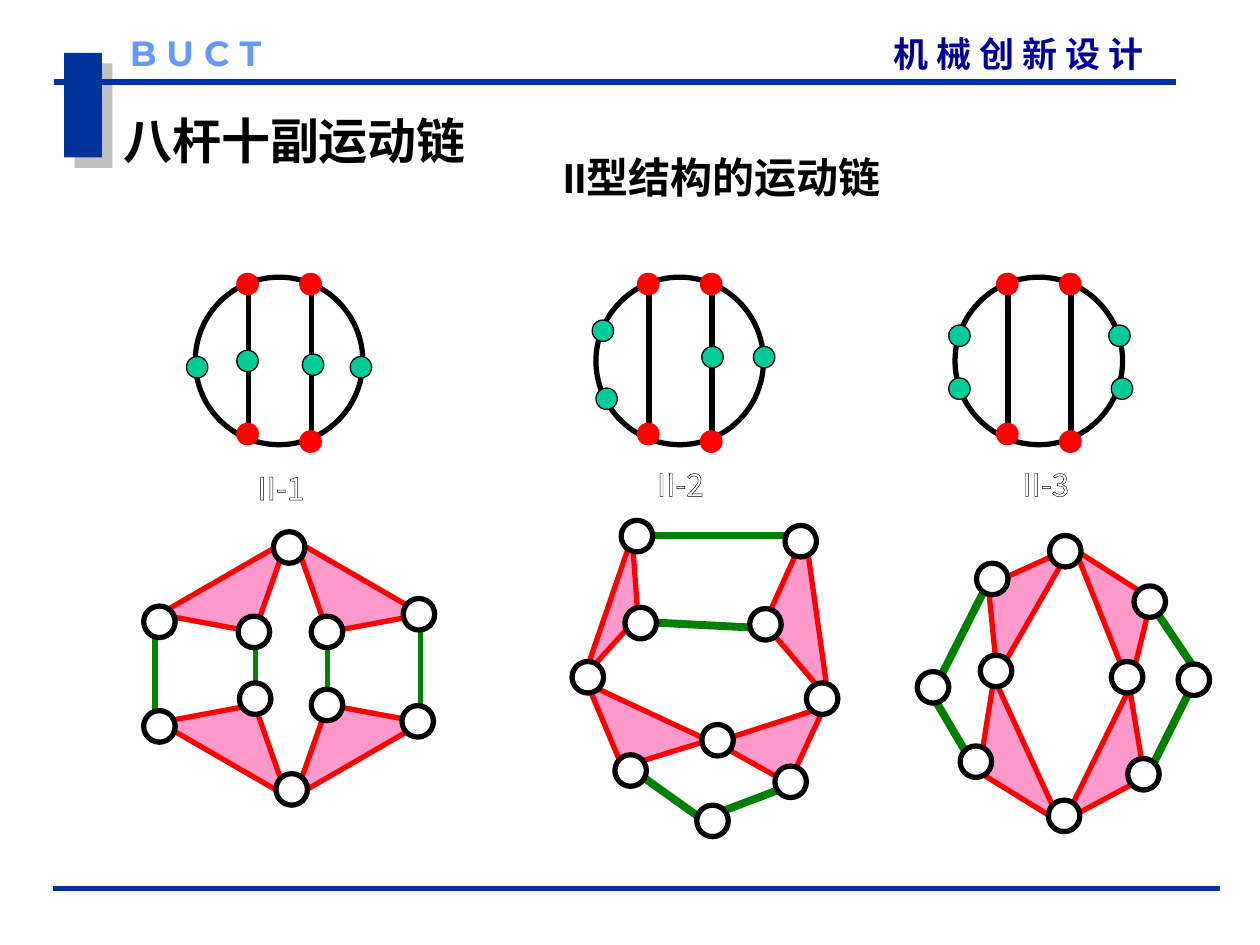
"""Build a slide of eight-bar, ten-joint kinematic chains of type II."""
from lxml.etree import SubElement
from pptx import Presentation
from pptx.dml.color import RGBColor
from pptx.enum.shapes import MSO_CONNECTOR, MSO_SHAPE
from pptx.enum.text import PP_ALIGN
from pptx.oxml import parse_xml
from pptx.oxml.ns import nsdecls, qn
from pptx.util import Inches, Pt

CJK = "Noto Sans CJK SC"
NAVY, RED, PINK, GREEN, TEAL = "003399", "FF0000", "FF99CC", "008000", "00CC99"
BLACK, WHITE = "000000", "FFFFFF"
hue = RGBColor.from_string


def paint(item, line=None, wide=3, fill=None):
    if fill:
        item.fill.solid()
        item.fill.fore_color.rgb = hue(fill)
    if line:
        item.line.color.rgb = hue(line)
        item.line.width = Pt(wide)
    else:
        item.line.fill.background()
    return SubElement(item._element.spPr, qn("a:effectLst"))


def write(home, text, box, size, color=BLACK, font=CJK, bold=True, pad=(0.1, 0.05), align=PP_ALIGN.LEFT, edge=None):
    frame = home.add_textbox(*map(Inches, box)).text_frame
    frame.word_wrap = True
    frame.margin_left = frame.margin_right = Inches(pad[0])
    frame.margin_top = frame.margin_bottom = Inches(pad[1])
    frame.paragraphs[0].alignment = align
    run = frame.paragraphs[0].add_run()
    run.text = text
    run.font.size, run.font.bold = Pt(size), bold
    run.font.color.rgb = hue(color)
    run.font.name = font
    props = run._r.get_or_add_rPr()
    SubElement(props, qn("a:ea"), typeface=CJK)
    if edge:
        props.insert(0, parse_xml(
            f'<a:ln {nsdecls("a")} w="9525"><a:solidFill><a:srgbClr val="{edge}"/></a:solidFill></a:ln>'))


deck = Presentation()
deck.slide_width, deck.slide_height = Inches(10), Inches(7.5)
slide = deck.slides.add_slide(deck.slide_layouts[6])
art = slide.shapes

block = art.add_shape(MSO_SHAPE.RECTANGLE, *map(Inches, (0.51, 0.42, 0.3, 0.83)))
glow = SubElement(paint(block, fill=NAVY), qn("a:outerShdw"), dist=str(Pt(8.5)), dir="2700000", algn="ctr", rotWithShape="0")
tint = SubElement(glow, qn("a:srgbClr"), val="808080")
SubElement(tint, qn("a:alpha"), val="50000")
for ends in (0.43, 0.65, 9.33, 0.65), (0.42, 7.05, 9.68, 7.05):
    paint(art.add_connector(MSO_CONNECTOR.STRAIGHT, *map(Inches, ends)), NAVY)
write(art, "机 械 创 新 设 计", (7.09, 0.26, 2.45, 0.33), 20, color="000099", pad=(0, 0))
write(art, "B U C T", (1.03, 0.25, 1.42, 0.33), 20, color="6699FF", font="Montserrat", pad=(0, 0))

graphs = [
    ("II-1", 1.55, (1.98, 3.67), [(2.78, 2.83), (2.4, 2.81), (1.88, 2.78), (1.48, 2.83)]),
    ("II-2", 4.73, (5.15, 3.64), [(5.57, 2.75), (4.73, 3.08), (4.7, 2.54), (5.98, 2.75)]),
    ("II-3", 7.58, (8.05, 3.64), [(8.82, 3), (8.8, 2.58), (7.53, 3), (7.53, 2.58)]),
]
for name, left, spot, teals in graphs:
    group = art.add_group_shape().shapes
    ring = group.add_shape(MSO_SHAPE.OVAL, *map(Inches, (left, 2.2, 1.33, 1.33)))
    paint(ring, BLACK, fill=WHITE)
    for x in left + 0.42, left + 0.92:
        paint(group.add_connector(MSO_CONNECTOR.STRAIGHT, *map(Inches, (x, 2.28, x, 3.45))), BLACK)
    reds = [(left + x, y) for x, y in ((0.33, 2.17), (0.83, 2.17), (0.33, 3.36), (0.83, 3.42))]
    for dots, line, fill in (reds, RED, RED), (teals, BLACK, TEAL):
        for x, y in dots:
            dot = group.add_shape(MSO_SHAPE.OVAL, *map(Inches, (x, y, 0.17, 0.17)))
            paint(dot, line, 0.75, fill)
    write(group, name, (*spot, 0.5, 0.25), 18, color=WHITE, bold=False, pad=(0, 0.05), align=PP_ALIGN.CENTER, edge=BLACK)

chains = [
    (MSO_SHAPE.ISOSCELES_TRIANGLE, 3,
     [(1.31, 5.56, 1.17, 0.5, 30), (2.14, 5.56, 1.17, 0.5, 330),
      (2.14, 4.55, 1.17, 0.5, 210), (1.31, 4.55, 1.17, 0.5, 150)],
     [(2.03, 5.02, 2.03, 5.61), (2.6, 5, 2.6, 5.59), (1.23, 4.84, 1.23, 5.76), (3.34, 4.84, 3.34, 5.75)],
     [(1.89, 4.89), (1.14, 4.81), (3.2, 4.75), (2.17, 4.22), (2.47, 5.47),
      (2.47, 4.89), (3.19, 5.6), (1.14, 5.64), (1.9, 5.42), (2.19, 6.14)]),
    (MSO_SHAPE.FLOWCHART_EXTRACT, 4.5,
     [(5.61, 4.71, 1.33, 0.42, 262), (4.36, 4.73, 1.17, 0.25, 109),
      (5.73, 5.74, 0.91, 0.49, 162.1), (4.51, 5.63, 1.06, 0.48, 205)],
     [(4.98, 4.25, 6.4, 4.25), (4.98, 4.93, 6.15, 4.99), (4.98, 6.08, 5.57, 6.5), (5.57, 6.5, 6.23, 6.25)],
     [(6.23, 4.17), (4.93, 4.13), (5.95, 4.83), (4.96, 4.82), (4.54, 5.25),
      (6.15, 6.08), (5.57, 5.75), (6.4, 5.42), (5.53, 6.39), (4.88, 5.99)]),
    (MSO_SHAPE.ISOSCELES_TRIANGLE, 4.5,
     [(7.44, 4.54, 1.17, 0.42, 299.9), (8.36, 4.62, 1.17, 0.42, 68.2),
      (7.33, 5.83, 1.26, 0.42, 245.4), (8.31, 5.87, 1.17, 0.42, 116.2)],
     [(7.82, 4.67, 7.4, 5.5), (9.14, 4.8, 9.49, 5.32), (7.4, 5.52, 7.76, 6.13), (9.52, 5.33, 9.1, 6.17)],
     [(8.95, 6.02), (7.78, 5.2), (7.28, 5.33), (8.33, 4.25), (7.75, 4.47),
      (8.82, 5.25), (9.35, 5.27), (9, 4.65), (7.62, 5.92), (8.32, 6.35)]),
]
for kind, wide, plates, bars, joints in chains:
    group = art.add_group_shape().shapes
    for *box, turn in plates:
        plate = group.add_shape(kind, *map(Inches, box))
        plate.rotation = turn
        paint(plate, RED, fill=PINK)
    for ends in bars:
        paint(group.add_connector(MSO_CONNECTOR.STRAIGHT, *map(Inches, ends)), GREEN, wide)
    for x, y in joints:
        joint = group.add_shape(MSO_SHAPE.OVAL, *map(Inches, (x, y, 0.25, 0.25)))
        paint(joint, BLACK, fill=WHITE)

write(art, "II型结构的运动链", (4.37, 1.15, 3.62, 0.5), 24, font="Arial")
write(art, "八杆十副运动链", (0.88, 0.83, 3.39, 0.57), 28, font="Arial")

deck.save("out.pptx")
